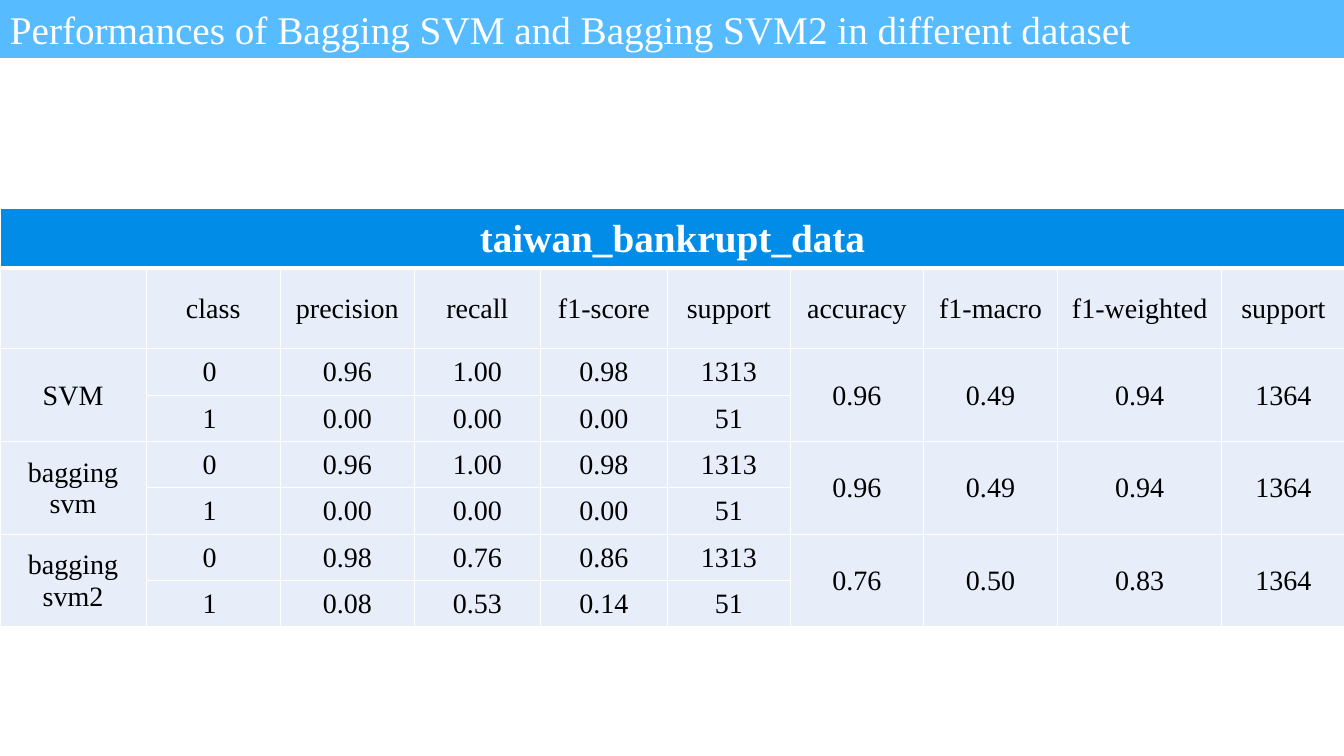
import dataclasses

import lxml.etree
import pptx
import pptx.dml.color
import pptx.enum.shapes
import pptx.enum.text
import pptx.oxml.ns
import pptx.util

Inches = pptx.util.Inches
ALIGN = pptx.enum.text.PP_ALIGN
MIDDLE = pptx.enum.text.MSO_ANCHOR.MIDDLE


@dataclasses.dataclass(frozen=True)
class Theme:
    font: str = "Times New Roman"
    banner: str = "57BBFF"
    header: str = "008CE7"
    body: str = "E7EEFA"
    white: str = "FFFFFF"
    black: str = "000000"
    large: int = 28
    small: int = 20
    thin: int = 1
    thick: int = 3


@dataclasses.dataclass(frozen=True)
class Model:
    """One model: a row of scores per class, then its overall scores."""
    name: str
    zero: list[str]
    one: list[str]
    total: list[str]


THEME = Theme()
TITLE = "Performances of Bagging SVM and Bagging SVM2 in different dataset"
DATASET = "taiwan_bankrupt_data"
LABELS = ["", "class", "precision", "recall", "f1-score", "support",
          "accuracy", "f1-macro", "f1-weighted", "support"]
WIDTHS = [1.45, 1.33, 1.33, 1.25, 1.26, 1.22, 1.32, 1.33, 1.63, 1.22]
MODELS = [
    Model("SVM", ["0 ", "0.96", "1.00", "0.98", "1313"],
          ["1 ", "0.00", "0.00", "0.00", "51"], ["0.96", "0.49", "0.94", "1364"]),
    Model("bagging svm", ["0 ", "0.96", "1.00", "0.98", "1313"],
          ["1 ", "0.00", "0.00", "0.00", "51"], ["0.96", "0.49", "0.94", "1364"]),
    Model("bagging svm2", ["0 ", "0.98", "0.76", "0.86", "1313"],
          ["1 ", "0.08", "0.53", "0.14", "51"], ["0.76", "0.50", "0.83", "1364"]),
]
HEIGHTS = [0.59, 0.8] + [0.46] * (2 * len(MODELS))


def paint(fill, color: str) -> None:
    fill.solid()
    fill.fore_color.rgb = pptx.dml.color.RGBColor.from_string(color)


def write(frame, text: str, size: int, color: str, align, bold: bool = False) -> None:
    frame.text = text
    line = frame.paragraphs[0]
    line.alignment = align
    for run in line.runs:
        run.font.name = THEME.font
        run.font.size = pptx.util.Pt(size)
        run.font.bold = bold
        paint(run.font.fill, color)


def add_borders(cell, bottom: int) -> None:
    props = cell._tc.get_or_add_tcPr()
    qn = pptx.oxml.ns.qn
    for side in "LRTB":
        width = bottom if side == "B" else THEME.thin
        line = lxml.etree.SubElement(props, qn(f"a:ln{side}"), w=str(pptx.util.Pt(width)))
        fill = lxml.etree.SubElement(line, qn("a:solidFill"))
        lxml.etree.SubElement(fill, qn("a:srgbClr"), val=THEME.white)


def style_cell(cell, text: str, header: bool) -> None:
    add_borders(cell, THEME.thick if header else THEME.thin)
    paint(cell.fill, THEME.header if header else THEME.body)
    cell.vertical_anchor = MIDDLE
    cell.margin_left = cell.margin_right = Inches(0.02)
    cell.margin_top, cell.margin_bottom = Inches(0.01), 0
    size, color = (THEME.large, THEME.white) if header else (THEME.small, THEME.black)
    write(cell.text_frame, text, size, color, ALIGN.CENTER, header)


def add_banner(slide) -> None:
    kind = pptx.enum.shapes.MSO_SHAPE.RECTANGLE
    banner = slide.shapes.add_shape(kind, 0, 0, Inches(13.33), Inches(0.57))
    banner.shadow.inherit = False
    paint(banner.fill, THEME.banner)
    paint(banner.line.fill, THEME.banner)
    banner.line.width = pptx.util.Pt(THEME.thin)
    banner.text_frame.word_wrap = True
    banner.text_frame.vertical_anchor = MIDDLE
    write(banner.text_frame, TITLE, THEME.large, THEME.white, ALIGN.LEFT)


def add_scores(slide) -> None:
    count = len(WIDTHS)
    rows = [[DATASET] + [""] * (count - 1), LABELS]
    for model in MODELS:
        rows.append([model.name, *model.zero, *model.total])
        rows.append(["", *model.one] + [""] * len(model.total))

    frame = slide.shapes.add_table(len(rows), count, 0, Inches(2.07),
                                   Inches(sum(WIDTHS)), Inches(sum(HEIGHTS)))
    table = frame.table
    table.first_row = table.horz_banding = False
    for column, width in zip(table.columns, WIDTHS):
        column.width = Inches(width)
    for row, height in zip(table.rows, HEIGHTS):
        row.height = Inches(height)
    for top, texts in enumerate(rows):
        for left, text in enumerate(texts):
            style_cell(table.cell(top, left), text, top == 0)

    table.cell(0, 0).merge(table.cell(0, count - 1))
    for top in range(2, len(rows), 2):
        for left in (0, 6, 7, 8, 9):
            table.cell(top, left).merge(table.cell(top + 1, left))


def main() -> None:
    deck = pptx.Presentation()
    deck.slide_width, deck.slide_height = Inches(13.33), Inches(7.5)
    slide = deck.slides.add_slide(deck.slide_layouts[6])
    add_banner(slide)
    add_scores(slide)
    deck.save("out.pptx")


if __name__ == "__main__":
    main()
